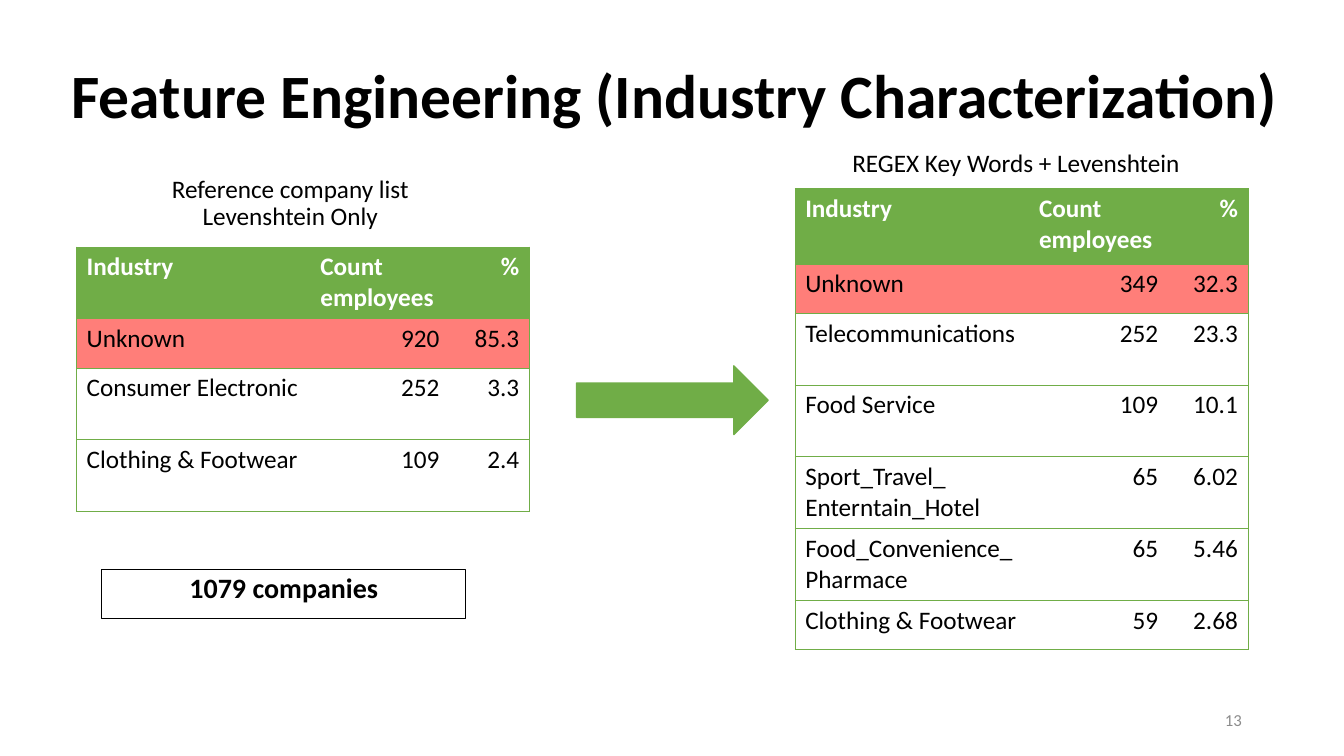
from lxml.etree import SubElement
from pptx import Presentation
from pptx.dml.color import RGBColor
from pptx.enum.shapes import MSO_SHAPE as SHAPE
from pptx.enum.text import MSO_ANCHOR as ANCHOR, MSO_AUTO_SIZE as AUTO, PP_ALIGN as ALIGN
from pptx.oxml.ns import qn
from pptx.util import Cm, Pt

GREEN = RGBColor(0x70, 0xAD, 0x47)
RED = RGBColor(0xFF, 0x7E, 0x79)
BLACK = RGBColor(0, 0, 0)
WHITE = RGBColor(0xFF, 0xFF, 0xFF)
GRAY = RGBColor(0x8C, 0x8C, 0x8C)


def write(tf, text, size, color=BLACK, bold=False, align=ALIGN.LEFT, spacing=0.9):
    for i, line in enumerate(text.split("\n")):
        p = tf.add_paragraph() if i else tf.paragraphs[0]
        p.alignment = align
        p.line_spacing = spacing
        r = p.add_run()
        r.text = line
        r.font.name = "Calibri"
        r.font.size = Pt(size)
        r.font.bold = bold
        r.font.color.rgb = color


def set_borders(cell, visible):
    tcPr = cell._tc.get_or_add_tcPr()
    for side in ("lnL", "lnR", "lnT", "lnB"):
        ln = SubElement(tcPr, qn(f"a:{side}"), w=str(Pt(0.5)))
        if side in visible:
            fill = SubElement(ln, qn("a:solidFill"))
            SubElement(fill, qn("a:srgbClr"), val=str(GREEN))
        else:
            SubElement(ln, qn("a:noFill"))


prs = Presentation()
prs.slide_width, prs.slide_height = Cm(33.87), Cm(19.05)
s = prs.slides.add_slide(prs.slide_layouts[5])

title = s.shapes.title
title.left, title.top, title.width, title.height = Cm(1.55), Cm(1.63), Cm(33.43), Cm(1.73)
tf = title.text_frame
tf.auto_size = AUTO.NONE
tf.vertical_anchor = ANCHOR.MIDDLE
write(tf, "Feature Engineering (Industry Characterization)", 44, bold=True)

total = s.shapes.add_shape(SHAPE.RECTANGLE, Cm(2.57), Cm(14.35), Cm(9.17), Cm(1.24))
total.shadow.inherit = False
total.fill.solid()
total.fill.fore_color.rgb = WHITE
total.line.color.rgb = BLACK
total.line.width = Pt(0.75)
total.text_frame.vertical_anchor = ANCHOR.TOP
write(total.text_frame, "1079 companies", 20, bold=True, align=ALIGN.CENTER)

arrow = s.shapes.add_shape(SHAPE.RIGHT_ARROW, Cm(14.53), Cm(9.22), Cm(4.83), Cm(1.73))
arrow.shadow.inherit = False
arrow.fill.solid()
arrow.fill.fore_color.rgb = GREEN
arrow.line.color.rgb = GREEN
arrow.line.width = Pt(1)

HEADER = ("Industry", "Count\nemployees", "%")
COLUMNS = (5.89, 3.51, 2.01)
TABLES = [
    (20.04, 4.75, [
        (1.9, HEADER),
        (1.24, ("Unknown", "349", "32.3")),
        (1.81, ("Telecommunications", "252", "23.3")),
        (1.81, ("Food Service", "109", "10.1")),
        (1.81, ("Sport_Travel_\nEnterntain_Hotel", "65", "6.02")),
        (1.81, ("Food_Convenience_Pharmace", "65", "5.46")),
        (1.24, ("Clothing & Footwear", "59", "2.68")),
    ]),
    (1.93, 6.22, [
        (1.81, HEADER),
        (1.24, ("Unknown", "920", "85.3")),
        (1.81, ("Consumer Electronic", "252", "3.3")),
        (1.81, ("Clothing & Footwear", "109", "2.4")),
    ]),
]
for left, top, rows in TABLES:
    height = sum(h for h, _ in rows)
    table = s.shapes.add_table(len(rows), len(COLUMNS), Cm(left), Cm(top),
                               Cm(sum(COLUMNS)), Cm(height)).table
    table.horz_banding = False
    for column, width in zip(table.columns, COLUMNS):
        column.width = Cm(width)
    for i, (row_height, values) in enumerate(rows):
        table.rows[i].height = Cm(row_height)
        for j, value in enumerate(values):
            cell = table.cell(i, j)
            set_borders(cell, ("lnT", "lnB", ("lnL", "", "lnR")[j]))
            if i < 2:
                cell.fill.solid()
                cell.fill.fore_color.rgb = (GREEN, RED)[i]
            else:
                cell.fill.background()
            right = j == 2 or (j == 1 and i > 0)
            write(cell.text_frame, value, 18, BLACK if i else WHITE, i == 0,
                  ALIGN.RIGHT if right else ALIGN.LEFT, 1.0)

LABELS = [
    (21.23, 3.68, 9.02, 1.07, "REGEX Key Words + Levenshtein", 18, BLACK, ALIGN.LEFT, ANCHOR.TOP),
    (3.96, 4.32, 6.71, 1.83, "Reference company list Levenshtein Only", 18, BLACK,
     ALIGN.CENTER, ANCHOR.TOP),
    (23.93, 17.65, 7.62, 1.02, "13", 12, GRAY, ALIGN.RIGHT, ANCHOR.MIDDLE),
]
for left, top, width, height, text, size, color, align, anchor in LABELS:
    tf = s.shapes.add_textbox(Cm(left), Cm(top), Cm(width), Cm(height)).text_frame
    tf.word_wrap = True
    tf.vertical_anchor = anchor
    write(tf, text, size, color, align=align)

prs.save("out.pptx")
